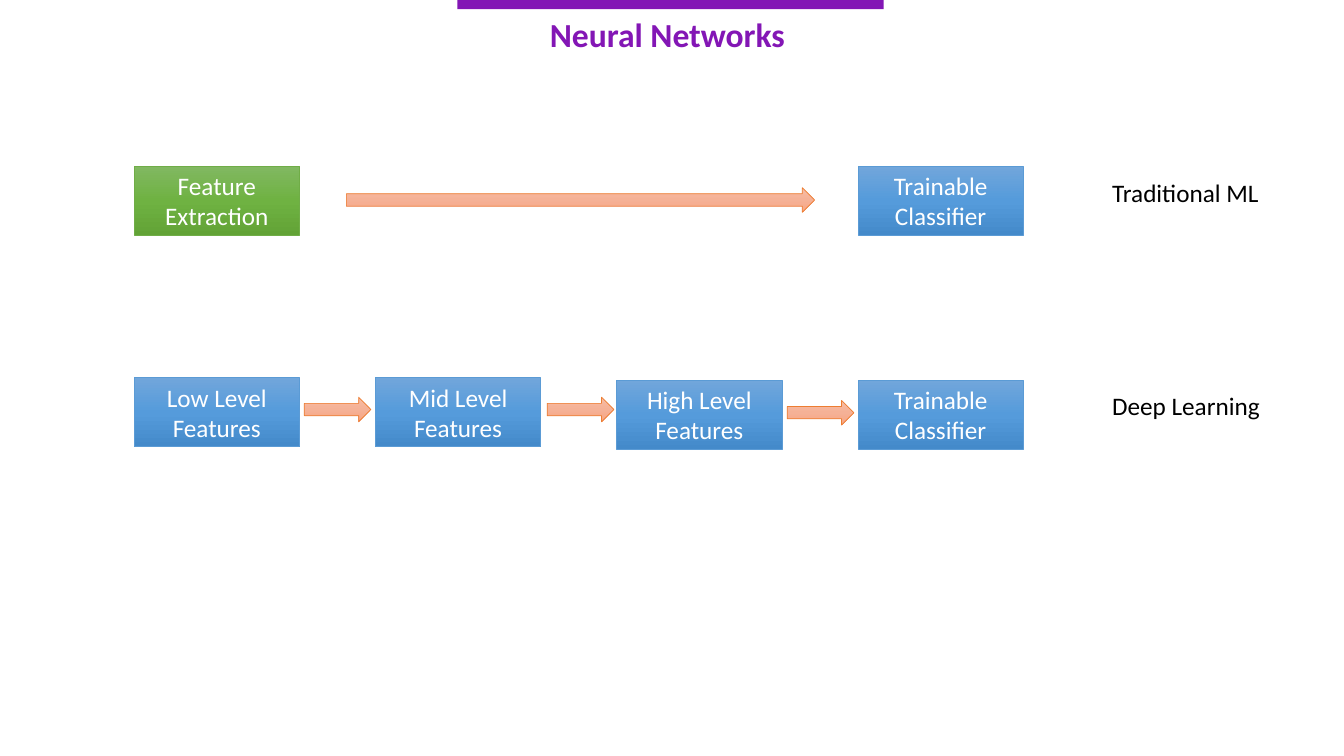
from copy import deepcopy

from pptx import Presentation
from pptx.dml.color import RGBColor
from pptx.enum.shapes import MSO_SHAPE
from pptx.enum.text import MSO_ANCHOR, PP_ALIGN
from pptx.oxml.ns import qn
from pptx.util import Cm, Pt

PURPLE = "8316B5"
BLUE = (("71A6DB", "559BDB", "448ACA"), "5B9BD5")
GREEN = (("81B861", "6FB242", "62A336"), "70AD47")
ORANGE = (("F7BDA5", "F5B196", "F8A582"), "ED7D31")


def add_gradient_shape(kind, box, colours):
    """Add a preset shape with an even top-to-bottom gradient and a thin outline."""
    stops, outline = colours
    sp = s.shapes.add_shape(kind, *map(Cm, box))
    sp.shadow.inherit = False
    sp.fill.gradient()
    sp.fill.gradient_angle = 270
    gs_list = sp._element.spPr.find(".//" + qn("a:gsLst"))
    gs_list.insert(1, deepcopy(gs_list[0]))
    for i, (stop, colour) in enumerate(zip(sp.fill.gradient_stops, stops)):
        stop.position = i / 2
        stop.color.rgb = RGBColor.from_string(colour)
    sp.line.color.rgb = RGBColor.from_string(outline)
    sp.line.width = Pt(0.5)
    return sp


def write(sp, text, colour, align=PP_ALIGN.CENTER, wrap=True, **font):
    tf = sp.text_frame
    tf.word_wrap = wrap
    p = tf.paragraphs[0]
    p.alignment = align
    r = p.add_run()
    r.text = text
    r.font.color.rgb = RGBColor.from_string(colour)
    for name, value in {"name": "Calibri", "size": Pt(18), **font}.items():
        setattr(r.font, name, value)


prs = Presentation()
prs.slide_width, prs.slide_height = Cm(33.87), Cm(19.05)
s = prs.slides.add_slide(prs.slide_layouts[6])

# Title under the accent bar
bar = s.shapes.add_shape(MSO_SHAPE.RECTANGLE, Cm(11.53), Cm(0), Cm(10.74), Cm(0.23))
bar.shadow.inherit = False
bar.fill.solid()
bar.fill.fore_color.rgb = RGBColor.from_string(PURPLE)
bar.line.fill.background()
title = s.shapes.add_textbox(Cm(11.25), Cm(0.23), Cm(11.33), Cm(1.28))
write(title, "Neural Networks ", PURPLE, size=Pt(24), bold=True)

# Stages: column, top, text, colours
BOX_LEFT, BOX_STEP, BOX_W, BOX_H = 3.38, 6.08, 4.17, 1.74
stages = [
    (0, 4.19, "Feature Extraction", GREEN),
    (0, 9.52, "Low Level Features", BLUE),
    (1, 9.52, "Mid Level Features", BLUE),
    (2, 9.58, "High Level Features", BLUE),
    (3, 9.58, "Trainable Classifier", BLUE),
    (3, 4.19, "Trainable Classifier", BLUE),
]
for column, top, text, colours in stages:
    box = (BOX_LEFT + column * BOX_STEP, top, BOX_W, BOX_H)
    sp = add_gradient_shape(MSO_SHAPE.RECTANGLE, box, colours)
    sp.text_frame.vertical_anchor = MSO_ANCHOR.MIDDLE
    write(sp, text, "FFFFFF")

# Arrows: left, top, width
for left, top, width in [(8.73, 4.73, 11.8), (7.67, 10.01, 1.68),
                         (13.79, 10.01, 1.68), (19.84, 10.09, 1.68)]:
    add_gradient_shape(MSO_SHAPE.RIGHT_ARROW, (left, top, width, 0.62), ORANGE)

# Row labels
for top, text in [(4.34, "Traditional ML"), (9.7, "Deep Learning")]:
    label = s.shapes.add_textbox(Cm(27.78), Cm(top), Cm(4.27), Cm(1.03))
    write(label, text, "000000", align=PP_ALIGN.LEFT, wrap=False)

prs.save("out.pptx")
